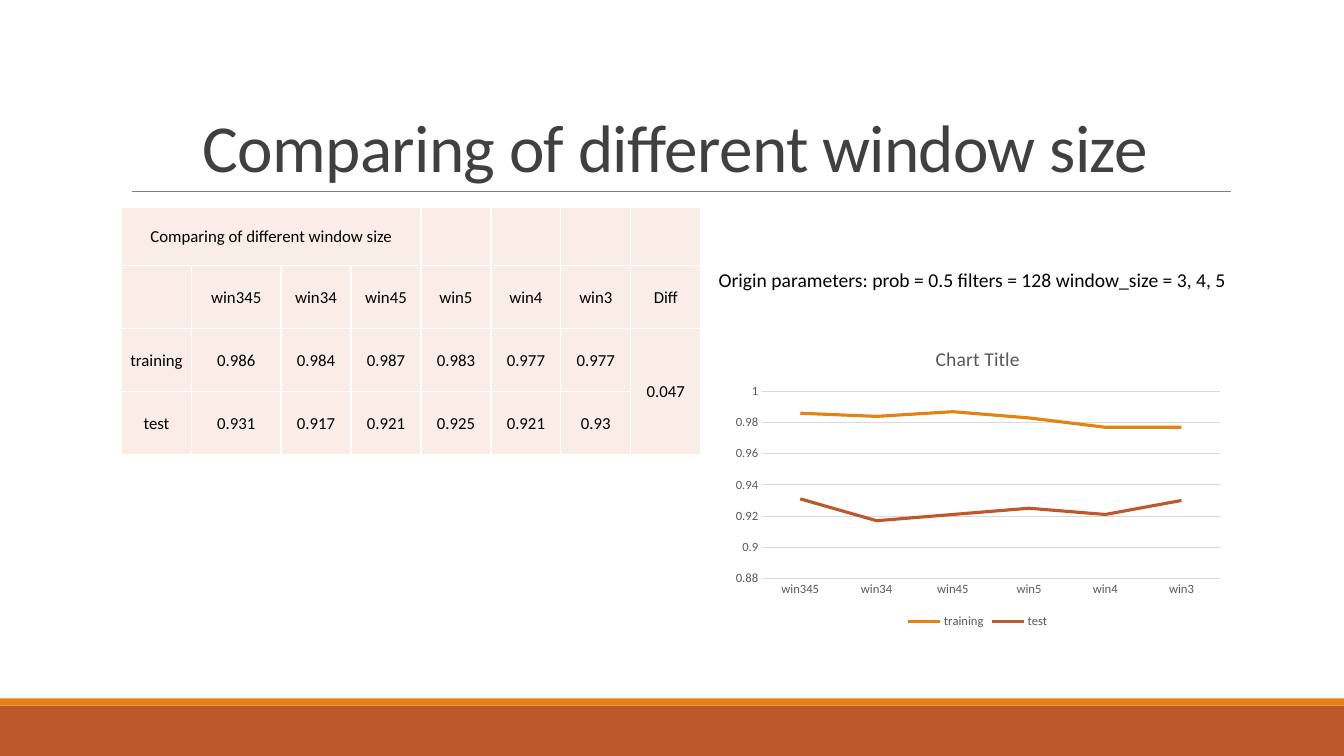
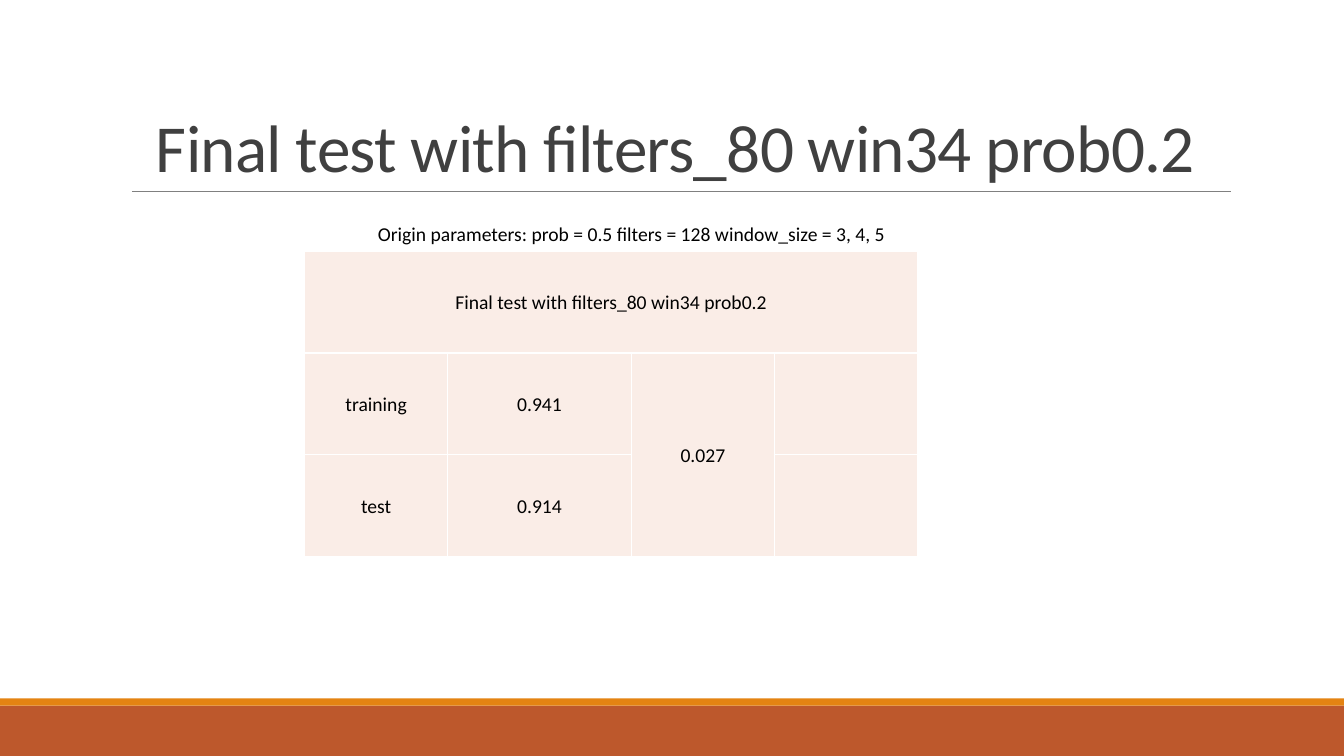
from dataclasses import dataclass

from lxml.etree import SubElement
from pptx import Presentation
from pptx.chart.data import CategoryChartData
from pptx.dml.color import RGBColor
from pptx.enum.chart import XL_CHART_TYPE, XL_LEGEND_POSITION, XL_TICK_MARK
from pptx.enum.shapes import MSO_CONNECTOR, MSO_SHAPE
from pptx.enum.text import MSO_ANCHOR, MSO_AUTO_SIZE, PP_ALIGN
from pptx.oxml import parse_xml
from pptx.oxml.ns import nsdecls, qn
from pptx.slide import Slide
from pptx.text.text import Font
from pptx.util import Pt

FONT = "Calibri"
ORANGE, RUST = "E48312", "BD582C"
CELL_FILL, WHITE, BLACK = "FAEDE7", "FFFFFF", "000000"
TITLE_GRAY, CHART_GRAY = "404040", "595959"
RULE_GRAY, GRID_GRAY = "808080", "D9D9D9"
PARAMETERS = "Origin parameters: prob = 0.5 filters = 128 window_size = 3, 4, 5"


@dataclass(frozen=True)
class Band:
    top: float
    height: float
    color: str


@dataclass(frozen=True)
class Merge:
    first: tuple[int, int]
    last: tuple[int, int]


@dataclass(frozen=True)
class ResultTable:
    left: float
    top: float
    columns: list[float]
    rows: list[float]
    size: float
    cells: list[list[str]]
    merges: list[Merge]


@dataclass(frozen=True)
class ResultPage:
    title: str
    table: ResultTable
    note_left: float
    note_top: float
    note_width: float


BANDS = [Band(504, 36, RUST), Band(498.8, 5.2, ORANGE)]

WINDOW_TITLE = "Comparing of different window size"
WINDOW_PAGE = ResultPage(
    WINDOW_TITLE,
    ResultTable(
        86.8, 147.8, [50, 64] + [50] * 6, [42] + [45] * 3, 12,
        [
            [WINDOW_TITLE] + [""] * 7,
            ["", "win345", "win34", "win45", "win5", "win4", "win3", "Diff"],
            ["training", "0.986", "0.984", "0.987", "0.983", "0.977", "0.977", "0.047"],
            ["test", "0.931", "0.917", "0.921", "0.925", "0.921", "0.93", ""],
        ],
        [Merge((0, 0), (0, 3)), Merge((2, 7), (3, 7))],
    ),
    506.2, 187.9, 456.5,
)

FINAL_TITLE = "Final test with filters_80 win34 prob0.2"
FINAL_PAGE = ResultPage(
    FINAL_TITLE,
    ResultTable(
        217.5, 179.3, [102.4, 131, 102.4, 102.4], [72.8] * 3, 14,
        [
            [FINAL_TITLE, "", "", ""],
            ["training", "0.941", "0.027", ""],
            ["test", "0.914", "", ""],
        ],
        [Merge((0, 0), (0, 3)), Merge((1, 2), (2, 2))],
    ),
    262.8, 154.8, 480.2,
)


def rgb(color: str) -> RGBColor:
    return RGBColor.from_string(color)


def style_font(font: Font, size: float, color: str) -> None:
    font.name = FONT
    font.size = Pt(size)
    font.bold = False
    font.color.rgb = rgb(color)


def add_frame(page: Slide) -> None:
    """Draw the bottom bands and the rule under the title."""
    for band in BANDS:
        shape = page.shapes.add_shape(
            MSO_SHAPE.RECTANGLE, 0, Pt(band.top), Pt(960), Pt(band.height))
        shape.shadow.inherit = False
        shape.fill.solid()
        shape.fill.fore_color.rgb = rgb(band.color)
        shape.line.fill.background()
    rule = page.shapes.add_connector(
        MSO_CONNECTOR.STRAIGHT, Pt(94.3), Pt(136.8), Pt(879), Pt(136.8))
    rule.line.color.rgb = rgb(RULE_GRAY)
    rule.line.width = Pt(0.5)
    SubElement(rule._element.spPr, qn("a:effectLst"))


def add_title(page: Slide, text: str) -> None:
    title = page.shapes.title
    title.left, title.top, title.width, title.height = Pt(86.4), Pt(22.6), Pt(792), Pt(114.2)
    frame = title.text_frame
    frame.text = text
    frame.word_wrap = True
    frame.auto_size = MSO_AUTO_SIZE.NONE
    frame.vertical_anchor = MSO_ANCHOR.BOTTOM
    para = frame.paragraphs[0]
    para.alignment = PP_ALIGN.CENTER
    para.line_spacing = 0.85
    span = para.runs[0]
    style_font(span.font, 48, TITLE_GRAY)
    span._r.get_or_add_rPr().set("spc", "-50")


def add_note(page: Slide, left: float, top: float, width: float) -> None:
    box = page.shapes.add_textbox(Pt(left), Pt(top), Pt(width), Pt(24.2))
    frame = box.text_frame
    frame.word_wrap = True
    frame.auto_size = MSO_AUTO_SIZE.SHAPE_TO_FIT_TEXT
    frame.text = PARAMETERS
    style_font(frame.paragraphs[0].runs[0].font, 14, BLACK)


def add_result_table(page: Slide, result: ResultTable) -> None:
    table = page.shapes.add_table(
        len(result.rows), len(result.columns), Pt(result.left), Pt(result.top),
        Pt(sum(result.columns)), Pt(sum(result.rows))).table
    table.first_row = table.horz_banding = False
    for column, width in zip(table.columns, result.columns):
        column.width = Pt(width)
    for row, height, texts in zip(table.rows, result.rows, result.cells):
        row.height = Pt(height)
        for cell, text in zip(row.cells, texts):
            cell.text = text
            cell.vertical_anchor = MSO_ANCHOR.MIDDLE
            cell.margin_left = cell.margin_right = cell.margin_top = Pt(0.7)
            cell.margin_bottom = 0
            cell.fill.solid()
            cell.fill.fore_color.rgb = rgb(CELL_FILL)
            para = cell.text_frame.paragraphs[0]
            para.alignment = PP_ALIGN.CENTER
            style_font(para.font, result.size, BLACK)
            for span in para.runs:
                style_font(span.font, result.size, BLACK)
            properties = cell._tc.get_or_add_tcPr()
            for index, side in enumerate("LRTB"):
                properties.insert(index, parse_xml(
                    f'<a:ln{side} {nsdecls("a")} w="{Pt(1)}"><a:solidFill>'
                    f'<a:srgbClr val="{WHITE}"/></a:solidFill></a:ln{side}>'))
    for merge in result.merges:
        table.cell(*merge.first).merge(table.cell(*merge.last))


def add_accuracy_chart(page: Slide, cells: list[list[str]]) -> None:
    """Plot the training and test rows of the table, without the Diff column."""
    header, *measures = cells[1:]
    data = CategoryChartData()
    data.categories = header[1:-1]
    for name, *values in measures:
        data.add_series(name, [float(value) for value in values[:-1]])
    chart = page.shapes.add_chart(
        XL_CHART_TYPE.LINE, Pt(518.4), Pt(236.2), Pt(360), Pt(216), data).chart
    style_font(chart.font, 10, BLACK)
    chart.has_title = True
    heading = chart.chart_title.text_frame
    heading.text = "Chart Title"
    style_font(heading.paragraphs[0].runs[0].font, 14, CHART_GRAY)
    chart.has_legend = True
    chart.legend.position = XL_LEGEND_POSITION.BOTTOM
    chart.legend.include_in_layout = False
    style_font(chart.legend.font, 9, CHART_GRAY)

    for axis in (chart.category_axis, chart.value_axis):
        axis.major_tick_mark = axis.minor_tick_mark = XL_TICK_MARK.NONE
        style_font(axis.tick_labels.font, 9, CHART_GRAY)
    scale = chart.value_axis
    scale.minimum_scale, scale.maximum_scale, scale.major_unit = 0.88, 1, 0.02
    scale.tick_labels.number_format = "General"
    scale.tick_labels.number_format_is_linked = False
    scale.format.line.fill.background()
    for line in (chart.category_axis.format.line, scale.major_gridlines.format.line):
        line.color.rgb = rgb(GRID_GRAY)
        line.width = Pt(0.75)

    plot = chart.plots[0]
    plot.vary_by_categories = False
    for series, color in zip(plot.series, (ORANGE, RUST)):
        series.smooth = False
        series.format.line.color.rgb = rgb(color)
        series.format.line.width = Pt(2.25)


def add_result_page(deck: Presentation, content: ResultPage) -> Slide:
    page = deck.slides.add_slide(deck.slide_layouts.get_by_name("Title Only"))
    add_frame(page)
    add_title(page, content.title)
    add_result_table(page, content.table)
    add_note(page, content.note_left, content.note_top, content.note_width)
    return page


def main() -> None:
    deck = Presentation()
    deck.slide_width, deck.slide_height = Pt(960), Pt(540)
    window_page = add_result_page(deck, WINDOW_PAGE)
    add_accuracy_chart(window_page, WINDOW_PAGE.table.cells)
    add_result_page(deck, FINAL_PAGE)
    deck.save("out.pptx")


if __name__ == "__main__":
    main()
